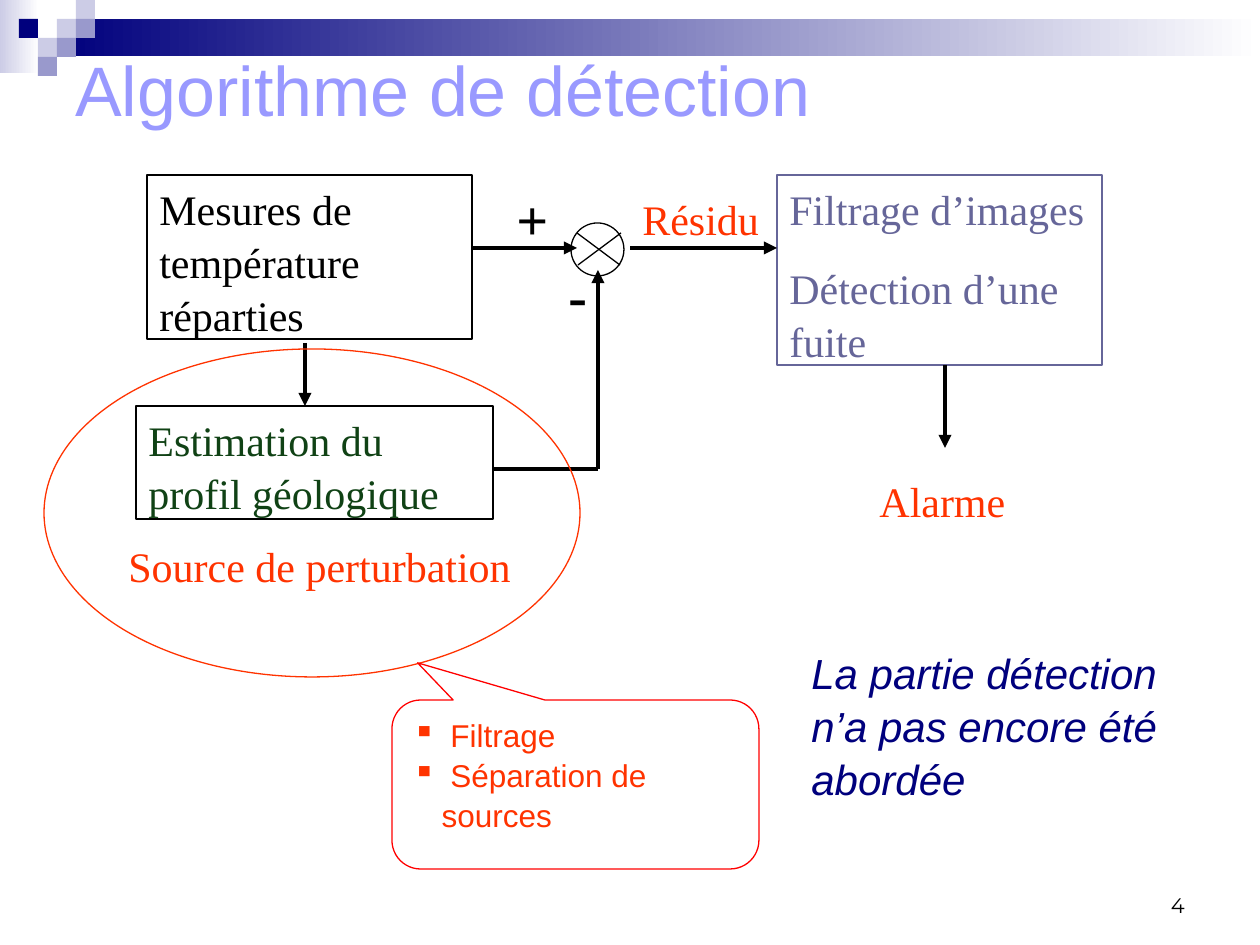
"""Builds the leak detection algorithm slide."""
from dataclasses import dataclass
from typing import NamedTuple

from lxml import etree
from pptx import Presentation
from pptx.dml.color import RGBColor
from pptx.enum.shapes import MSO_CONNECTOR, MSO_SHAPE
from pptx.enum.text import MSO_ANCHOR, PP_ALIGN
from pptx.oxml.ns import qn
from pptx.util import Pt

RECTANGLE = MSO_SHAPE.RECTANGLE
ELLIPSE = MSO_SHAPE.OVAL
CALLOUT = MSO_SHAPE.ROUNDED_RECTANGULAR_CALLOUT
STRAIGHT = MSO_CONNECTOR.STRAIGHT
TOP, MIDDLE, BOTTOM = MSO_ANCHOR.TOP, MSO_ANCHOR.MIDDLE, MSO_ANCHOR.BOTTOM
LEFT, RIGHT = PP_ALIGN.LEFT, PP_ALIGN.RIGHT
PIXELS_PER_INCH = 126
SQUARE = 19


@dataclass(frozen=True)
class Theme:
    black: str = "000000"
    white: str = "FFFFFF"
    navy: str = "00007D"
    lavender: str = "CCCCE6"
    periwinkle: str = "9999CC"
    heading: str = "9999FF"
    slate: str = "666699"
    green: str = "104215"
    orange: str = "FF3300"
    red: str = "FF0000"
    sans: str = "Arial"
    serif: str = "Times New Roman"
    number_font: str = "Montserrat"
    title_size: int = 40
    sign_size: int = 32
    body_size: int = 24
    callout_size: int = 18
    number_size: int = 12
    thin: float = 0.75
    thick: float = 2.5


THEME = Theme()


class Area(NamedTuple):
    left: int
    top: int
    width: int
    height: int


class Block(NamedTuple):
    area: Area
    lines: list[str]
    color: str
    border: str


class Label(NamedTuple):
    area: Area
    text: str
    color: str = THEME.orange
    size: int = THEME.body_size
    bold: bool = False


class Link(NamedTuple):
    start: tuple[int, int]
    end: tuple[int, int]
    arrow: bool = True
    weight: float = THEME.thick


class Tile(NamedTuple):
    column: int
    row: int
    color: str


TILES = [
    Tile(3, 1, THEME.lavender), Tile(4, 0, THEME.lavender), Tile(4, 1, THEME.periwinkle),
    Tile(2, 2, THEME.lavender), Tile(1, 1, THEME.navy), Tile(3, 2, THEME.periwinkle),
    Tile(2, 3, THEME.periwinkle),
]
BLOCKS = [
    Block(Area(147, 175, 325, 164), ["Mesures de température réparties"], THEME.black, THEME.black),
    Block(Area(136, 406, 357, 113), ["Estimation du profil géologique"], THEME.green, THEME.black),
    Block(Area(777, 175, 325, 190), ["Filtrage d’images", "Détection d’une fuite"],
          THEME.slate, THEME.slate),
]
LABELS = [
    Label(Area(556, 251, 42, 81), "-", THEME.black, THEME.sign_size, True),
    Label(Area(504, 175, 62, 81), "+", THEME.black, THEME.sign_size, True),
    Label(Area(630, 185, 168, 63), "Résidu"),
    Label(Area(867, 467, 168, 63), "Alarme"),
    Label(Area(116, 532, 462, 63), "Source de perturbation"),
]
LINKS = [
    Link((305, 343), (305, 406)),
    Link((945, 365), (945, 448)),
    Link((598, 469), (598, 270)),
    Link((472, 248), (577, 248)),
    Link((493, 469), (598, 469), arrow=False),
    Link((630, 248), (777, 248)),
    Link((577, 233), (620, 265), False, THEME.thin),
    Link((578, 265), (621, 233), False, THEME.thin),
]


def px(value: int) -> int:
    """Convert pixels to EMU."""
    return round(value * 914400 / PIXELS_PER_INCH)


def add_figure(page, kind, area: Area, fill: str = "", border: str = ""):
    """Draw a preset shape with an optional fill and border."""
    figure = page.shapes.add_shape(kind, *map(px, area))
    figure.shadow.inherit = False
    if fill:
        figure.fill.solid()
        figure.fill.fore_color.rgb = RGBColor.from_string(fill)
    else:
        figure.fill.background()
    if border:
        figure.line.color.rgb = RGBColor.from_string(border)
        figure.line.width = Pt(THEME.thin)
    else:
        figure.line.fill.background()
    return figure


def add_fade(page, area: Area, color: str) -> None:
    """Draw a bar that fades from a colour to white on the right."""
    bar = add_figure(page, RECTANGLE, area)
    bar.fill.gradient()
    bar.fill.gradient_angle = 0
    for stop, shade in zip(bar.fill.gradient_stops, (color, THEME.white)):
        stop.color.rgb = RGBColor.from_string(shade)


def add_link(page, link: Link) -> None:
    """Draw a straight line with an optional arrowhead."""
    line = page.shapes.add_connector(STRAIGHT, *map(px, link.start + link.end))
    line.line.color.rgb = RGBColor.from_string(THEME.black)
    line.line.width = Pt(link.weight)
    if link.arrow:
        etree.SubElement(line.line._get_or_add_ln(), qn("a:tailEnd"), type="triangle")
    etree.SubElement(line._element.spPr, qn("a:effectLst"))


def write(box, lines: list[str], *, color: str, size: int, font: str = THEME.serif,
          bold: bool = False, italic: bool = False, align=LEFT, anchor=TOP,
          before: int = 0, spacing: float = 1.05, bullet: str = "") -> None:
    """Fill a box with formatted paragraphs."""
    frame = box.text_frame
    frame.word_wrap = True
    frame.vertical_anchor = anchor
    for index, text in enumerate(lines):
        para = frame.add_paragraph() if index else frame.paragraphs[0]
        para.alignment = align
        para.line_spacing = spacing
        para.space_before = Pt(before)
        if bullet:
            properties = para._p.get_or_add_pPr()
            properties.set("marL", str(px(29)))
            properties.set("indent", str(-px(29)))
            tint = etree.SubElement(properties, qn("a:buClr"))
            etree.SubElement(tint, qn("a:srgbClr"), val=color)
            etree.SubElement(properties, qn("a:buChar"), char=bullet)
        span = para.add_run()
        span.text = text
        span.font.name, span.font.size = font, Pt(size)
        span.font.bold, span.font.italic = bold, italic
        span.font.color.rgb = RGBColor.from_string(color)


def add_text(page, area: Area, lines: list[str], **style) -> None:
    """Place a text box with formatted paragraphs."""
    write(page.shapes.add_textbox(*map(px, area)), lines, **style)


def main() -> None:
    """Build and save the deck."""
    deck = Presentation()
    deck.slide_width, deck.slide_height = px(1260), px(945)
    page = deck.slides.add_slide(deck.slide_layouts[6])
    add_fade(page, Area(0, 0, 39, 73), THEME.lavender)
    add_fade(page, Area(57, 19, 1203, 37), THEME.navy)
    for tile in TILES:
        area = Area(tile.column * SQUARE, tile.row * SQUARE, SQUARE, SQUARE)
        add_figure(page, RECTANGLE, area, fill=tile.color)
    add_text(page, Area(63, 63, 1134, 52), ["Algorithme de détection"], color=THEME.heading,
             size=THEME.title_size, font=THEME.sans, anchor=MIDDLE, spacing=1)
    for block in BLOCKS:
        box = add_figure(page, RECTANGLE, block.area, border=block.border)
        write(box, block.lines, color=block.color, size=THEME.body_size, before=15)
    add_figure(page, ELLIPSE, Area(571, 223, 53, 53), border=THEME.black)
    for link in LINKS:
        add_link(page, link)
    for label in LABELS:
        add_text(page, label.area, [label.text], color=label.color, size=label.size,
                 bold=label.bold)
    add_figure(page, ELLIPSE, Area(44, 349, 536, 328), border=THEME.orange)
    add_text(page, Area(799, 639, 412, 164), ["La partie détection", "n’a pas encore été abordée"],
             color=THEME.navy, size=THEME.body_size, font=THEME.sans, italic=True)
    callout = add_figure(page, CALLOUT, Area(392, 700, 367, 169), border=THEME.red)
    for index, value in enumerate((-0.43, -0.72, 0.17)):
        callout.adjustments[index] = value
    write(callout, [" Filtrage", " Séparation de sources"], color=THEME.orange,
          size=THEME.callout_size, font=THEME.sans, bullet="▪")
    add_text(page, Area(903, 861, 294, 63), ["4"], color=THEME.black, size=THEME.number_size,
             font=THEME.number_font, align=RIGHT, anchor=BOTTOM, spacing=1)
    deck.save("out.pptx")


if __name__ == "__main__":
    main()
